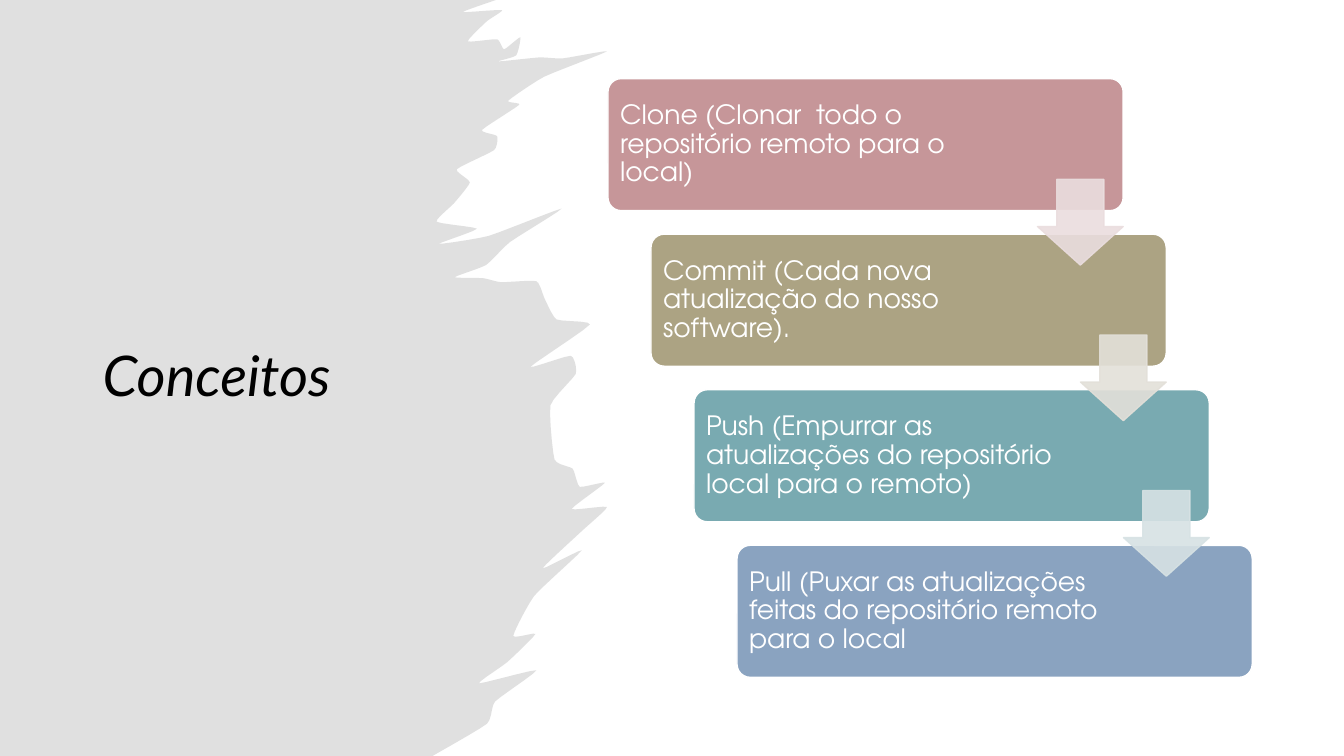
from collections import namedtuple
from dataclasses import dataclass

from lxml.etree import SubElement
from pptx import Presentation
from pptx.dml.color import RGBColor
from pptx.enum.shapes import MSO_SHAPE as Shape
from pptx.enum.text import MSO_ANCHOR as Anchor
from pptx.oxml.ns import qn
from pptx.util import Inches, Pt

Box = namedtuple("Box", "left top width height")
Concept = namedtuple("Concept", "text color arrow text_width")


@dataclass(frozen=True)
class Theme:
    paper: str = "FFFFFF"
    brush: str = "D9D9D9"
    ink: str = "000000"
    light: str = "FFFFFF"
    title_font: str = "Lato"
    body_font: str = "TeX Gyre Adventor"
    title_size: int = 40
    body_size: int = 19


THEME = Theme()

CONCEPTS = [
    Concept("Clone (Clonar  todo o repositório remoto para o local)", "C69699", "EADDDE", 3.59),
    Concept("Commit (Cada nova atualização do nosso software).", "ACA383", "E3E0D9", 3.76),
    Concept("Push (Empurrar as atualizações do repositório local para o remoto)", "79AAB1", "D7E2E4", 3.76),
    Concept("Pull (Puxar as atualizações feitas do repositório remoto para o local", "8AA3C0", None, 3.76),
]

BRUSH_EDGE = [
    (4.92, 0), (4.59, 0.12), (4.98, 0.1), (4.83, 0.21), (4.64, 0.41),
    (4.93, 0.39), (5, 0.49), (5.16, 0.37), (5.12, 0.55), (4.94, 0.61),
    (5.35, 0.57), (5.58, 0.58), (6.02, 0.51), (5.4, 0.76), (5.04, 1),
    (5.15, 1.04), (4.78, 1.29), (4.93, 1.35), (4.9, 1.49), (4.53, 1.68),
    (4.66, 1.81), (4.5, 2.02), (4.33, 2.2), (4.73, 2.27), (4.35, 2.42),
    (4.85, 2.34), (5.57, 2.07), (5.06, 2.4), (4.82, 2.63), (4.51, 2.75),
    (4.79, 2.76), (4.97, 2.8), (5.32, 2.79), (5.4, 2.96), (5.52, 3.17),
    (5.85, 3.22), (5.26, 3.64), (5.66, 3.53), (5.71, 3.71), (5.46, 4.02),
    (5.5, 4.56), (5.68, 4.65), (5.75, 4.83), (6, 4.79), (5.67, 5.05),
    (6.02, 5.03), (5.78, 5.26), (5.38, 5.64), (5.77, 5.46), (5.3, 5.91),
    (5.09, 6.31), (5.31, 6.29), (5.03, 6.57), (4.75, 6.78), (5.32, 6.65),
    (4.91, 6.96), (4.83, 7.18), (4.29, 7.5),
]


def rgb(color):
    return RGBColor.from_string(color)


def paint(shape, color, line=None, opacity=100):
    shape.shadow.inherit = False
    shape.fill.solid()
    shape.fill.fore_color.rgb = rgb(color)
    if line:
        shape.line.color.rgb = rgb(line)
        shape.line.width = Pt(1)
    else:
        shape.line.fill.background()
    if opacity < 100:
        for tint in shape._element.spPr.iter(qn("a:srgbClr")):
            SubElement(tint, qn("a:alpha"), val=str(opacity * 1000))


def add_preset(page, kind, box, adjustments):
    shape = page.shapes.add_shape(kind, *map(Inches, box))
    for index, value in enumerate(adjustments):
        shape.adjustments[index] = value
    return shape


def add_text(page, box, text, font, size, color, italic=False, inset=None):
    frame = page.shapes.add_textbox(*map(Inches, box)).text_frame
    frame.word_wrap = True
    frame.vertical_anchor = Anchor.MIDDLE
    if inset is not None:
        frame.margin_left = frame.margin_right = Inches(inset)
        frame.margin_top = frame.margin_bottom = Inches(inset)
    para = frame.paragraphs[0]
    para.line_spacing = 0.9
    span = para.add_run()
    span.text = text
    span.font.name = font
    span.font.size = Pt(size)
    span.font.color.rgb = rgb(color)
    span.font.italic = italic


def soften(points, steps=5, tension=0.25):
    padded = [points[0], *points, points[-1]]
    yield points[0]
    for before, start, end, after in zip(padded, padded[1:], padded[2:], padded[3:]):
        for step in range(1, steps + 1):
            t = step / steps
            ease = t * t * (3 - 2 * t)
            leave, arrive = t * (1 - t) ** 2, t * t * (t - 1)
            yield tuple(s + (e - s) * ease + tension * (leave * (e - b) + arrive * (a - s))
                        for b, s, e, a in zip(before, start, end, after))


def draw_brush(page, box):
    outline = [*soften(BRUSH_EDGE), (0, box.height)]
    points = [(Inches(box.left + x), Inches(box.top + y)) for x, y in outline]
    builder = page.shapes.build_freeform(Inches(box.left), Inches(box.top))
    builder.add_line_segments(points, close=True)
    paint(builder.convert_to_shape(), THEME.brush, opacity=80)


def draw_title(page, box):
    add_text(page, box, "Conceitos", THEME.title_font, THEME.title_size, THEME.ink, italic=True)


def draw_steps(page, box, concepts):
    card_width, card_height, arrow_size, pad = 5.11, 1.31, 0.85, 0.04
    gaps = len(concepts) - 1
    step_x = (box.width - card_width) / gaps
    step_y = (box.height - card_height) / gaps
    cards = [Box(box.left + i * step_x, box.top + i * step_y, card_width, card_height)
             for i in range(len(concepts))]
    for card, concept in zip(cards, concepts):
        paint(add_preset(page, Shape.ROUNDED_RECTANGLE, card, [0.1]), concept.color, THEME.light)
        label = Box(card.left + pad, card.top + pad, concept.text_width, card_height - 2 * pad)
        add_text(page, label, concept.text, THEME.body_font, THEME.body_size, THEME.light, inset=0.08)
    for card, concept in zip(cards[:-1], concepts):
        spot = Box(card.left + card_width - arrow_size, card.top + 1, arrow_size, arrow_size)
        arrow = add_preset(page, Shape.DOWN_ARROW, spot, [0.55, 0.45])
        paint(arrow, concept.arrow, concept.arrow, opacity=90)


deck = Presentation()
deck.slide_width, deck.slide_height = Inches(13.33), Inches(7.5)
page = deck.slides.add_slide(deck.slide_layouts[6])
page.background.fill.solid()
page.background.fill.fore_color.rgb = rgb(THEME.paper)
draw_brush(page, Box(0, 0, 6.03, 7.5))
draw_title(page, Box(0.92, 0.78, 3.85, 5.94))
draw_steps(page, Box(6.03, 0.78, 6.39, 5.94), CONCEPTS)
deck.save("out.pptx")
